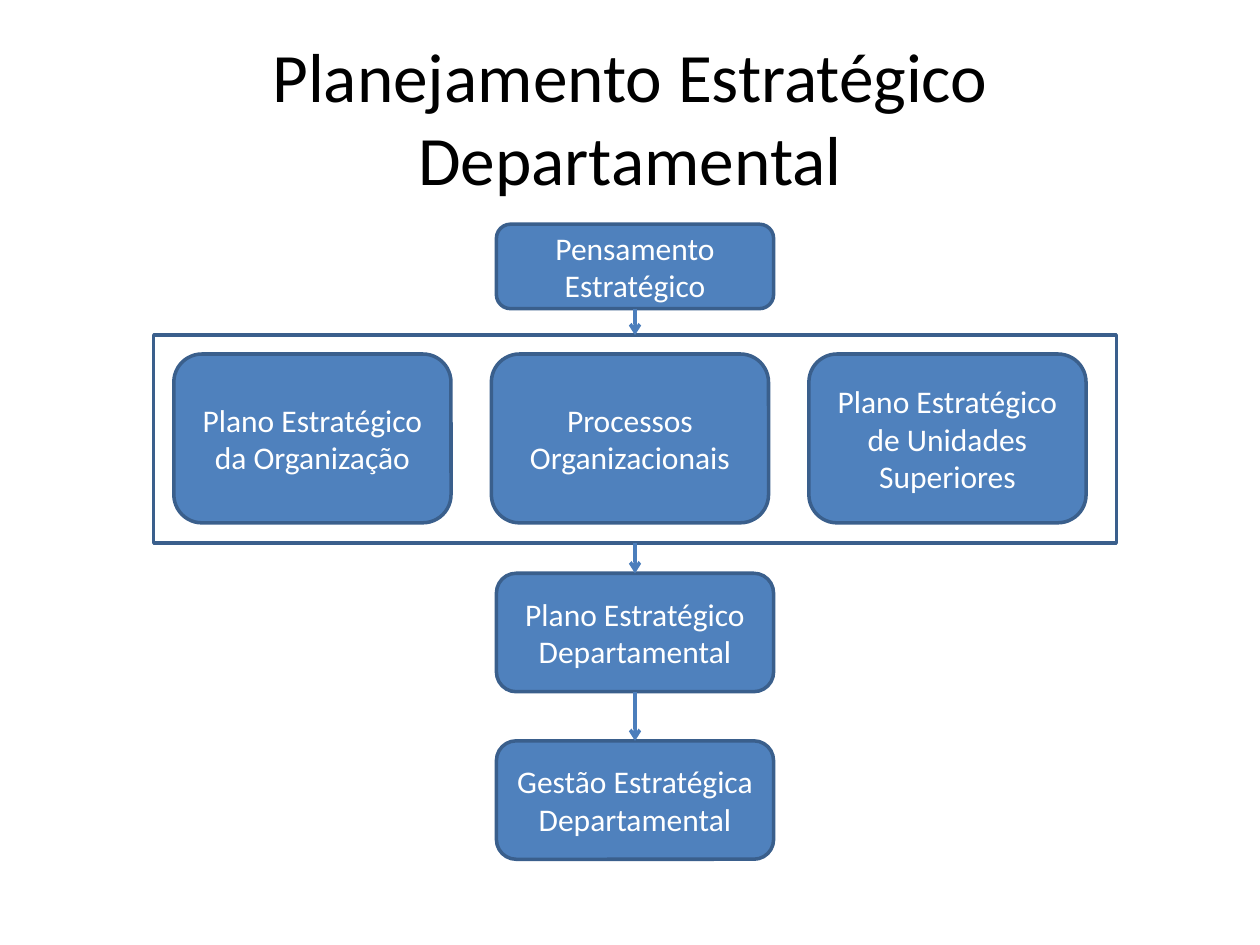
from lxml import etree
from pptx import Presentation
from pptx.dml.color import RGBColor
from pptx.enum.shapes import MSO_CONNECTOR, MSO_SHAPE
from pptx.enum.text import MSO_ANCHOR, PP_ALIGN
from pptx.oxml.ns import qn
from pptx.util import Inches, Pt

ROUND, RECT = MSO_SHAPE.ROUNDED_RECTANGLE, MSO_SHAPE.RECTANGLE
STRAIGHT = MSO_CONNECTOR.STRAIGHT
CENTER, MIDDLE = PP_ALIGN.CENTER, MSO_ANCHOR.MIDDLE
BLUE = RGBColor(0x4F, 0x81, 0xBD)
EDGE = RGBColor(0x3A, 0x5F, 0x8C)
ARROW = RGBColor(0x4B, 0x7E, 0xBC)
WHITE = RGBColor(255, 255, 255)
BLACK = RGBColor(0, 0, 0)
FONT = "Calibri"
BOTTOM, TOP = 2, 0

TITLE = "Planejamento Estratégico Departamental"
# text, top, height
START = ("Pensamento Estratégico", 1.78, 0.67)
PLAN = ("Plano Estratégico Departamental", 4.55, 0.94)
MANAGE = ("Gestão Estratégica Departamental", 5.88, 0.94)
INPUTS = [
    "Plano Estratégico da Organização",
    "Processos Organizacionais",
    "Plano Estratégico de Unidades Superiores",
]

AXIS = 5.04          # centre line of the flow
BOX_W = 2.2
ROW_X, ROW_Y, ROW_H = 1.38, 2.81, 1.34
PITCH = 2.52         # step between input boxes
FRAME_Y, FRAME_W, FRAME_H = 2.66, 7.64, 1.65


def style(frame, text, size, color):
    frame.text = text
    frame.word_wrap = True
    frame.vertical_anchor = MIDDLE
    para = frame.paragraphs[0]
    para.alignment = CENTER
    para.font.name = FONT
    para.font.size = Pt(size)
    para.font.color.rgb = color


def outline(shapes, kind, x, y, w, h):
    shape = shapes.add_shape(kind, Inches(x), Inches(y), Inches(w), Inches(h))
    shape.shadow.inherit = False
    shape.fill.background()
    shape.line.color.rgb = EDGE
    shape.line.width = Pt(2)
    return shape


def add_box(shapes, text, x, y, h):
    box = outline(shapes, ROUND, x, y, BOX_W, h)
    box.fill.solid()
    box.fill.fore_color.rgb = BLUE
    style(box.text_frame, text, 18, WHITE)
    return box


def add_step(shapes, text, y, h):
    return add_box(shapes, text, AXIS - BOX_W / 2, y, h)


def add_arrow(shapes, start, end):
    arrow = shapes.add_connector(STRAIGHT, 0, 0, 0, 0)
    arrow.begin_connect(start, BOTTOM)
    arrow.end_connect(end, TOP)
    arrow.line.color.rgb = ARROW
    arrow.line.width = Pt(2)
    props = arrow.line._get_or_add_ln()
    etree.SubElement(props, qn("a:tailEnd"), type="arrow")
    etree.SubElement(arrow._element.spPr, qn("a:effectLst"))


def main():
    deck = Presentation()
    deck.slide_width, deck.slide_height = Inches(10), Inches(7.5)
    slide = deck.slides.add_slide(deck.slide_layouts[5])
    shapes = slide.shapes

    title = shapes.title
    title.left, title.top = Inches(0.5), Inches(0.3)
    title.width, title.height = Inches(9), Inches(1.25)
    style(title.text_frame, TITLE, 39.6, BLACK)

    start = add_step(shapes, *START)
    group = shapes.add_group_shape().shapes
    for col, text in enumerate(INPUTS):
        add_box(group, text, ROW_X + col * PITCH, ROW_Y, ROW_H)
    frame = outline(group, RECT, AXIS - FRAME_W / 2, FRAME_Y, FRAME_W, FRAME_H)
    plan = add_step(shapes, *PLAN)
    manage = add_step(shapes, *MANAGE)

    flow = [start, frame, plan, manage]
    for above, below in zip(flow, flow[1:]):
        add_arrow(shapes, above, below)

    deck.save("out.pptx")


if __name__ == "__main__":
    main()
